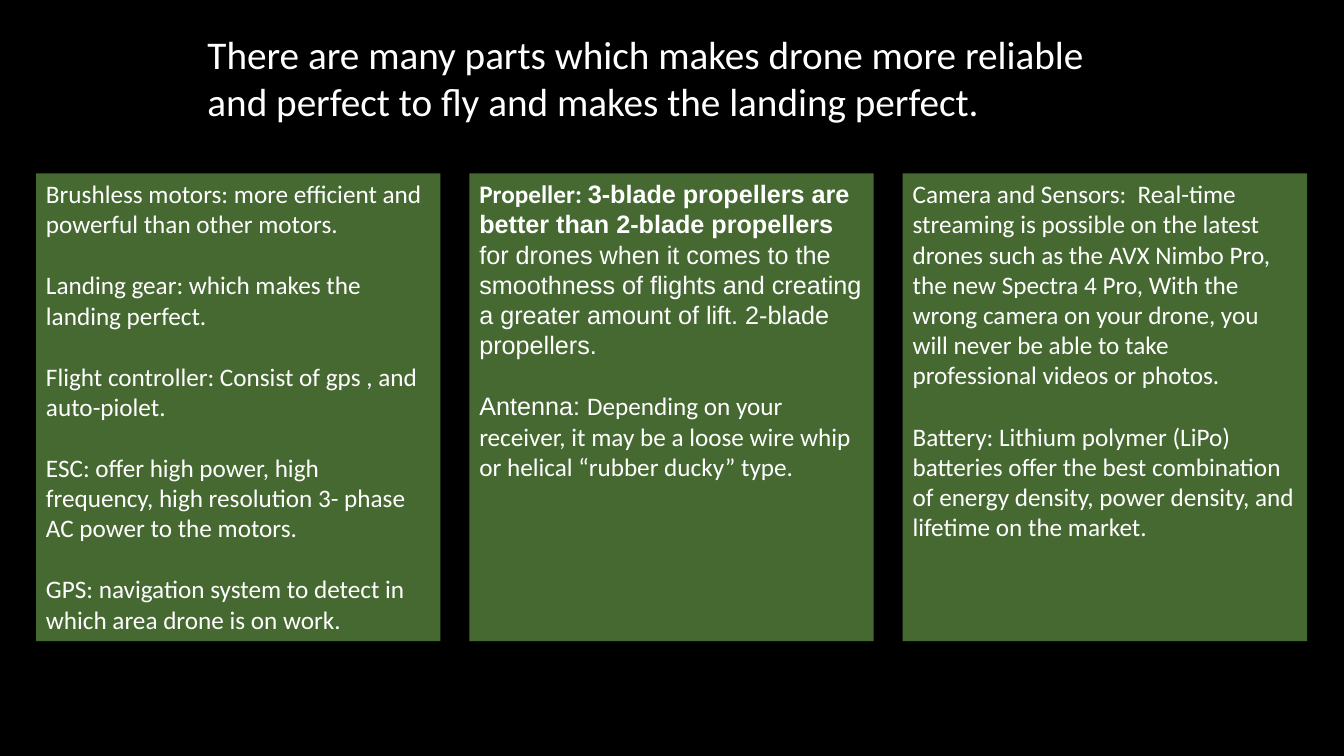
from pptx import Presentation
from pptx.dml.color import RGBColor
from pptx.enum.shapes import MSO_SHAPE
from pptx.enum.text import MSO_ANCHOR, PP_ALIGN
from pptx.util import Cm, Pt

COLORS = {"background": "000000", "panel": "466932", "text": "FFFFFF"}

TITLE = ("There are many parts which makes drone more reliable "
         "and perfect to fly and makes the landing perfect.")

COLUMNS = [
    [
        [("Brushless motors: more efficient and powerful than other motors.", "Calibri", False)],
        [("Landing gear: which makes the landing perfect.", "Calibri", False)],
        [("Flight controller: Consist of gps , and auto-piolet.", "Calibri", False)],
        [("ESC: offer high power, high frequency, high resolution 3- phase "
          "AC power to the motors.", "Calibri", False)],
        [("GPS: navigation system to detect in which area drone is on work.", "Calibri", False)],
    ],
    [
        [("Propeller: ", "Calibri", True),
         ("3-blade propellers are better than 2-blade propellers", "Arial", True),
         (" for drones when it comes to the smoothness of flights and creating "
          "a greater amount of lift. 2-blade propellers.", "Arial", False)],
        [("Antenna: ", "Arial", False),
         ("Depending on your receiver, it may be a loose wire whip "
          "or helical “rubber ducky” type.", "Calibri", False)],
    ],
    [
        [("Camera and Sensors:  Real-time streaming is possible on the latest drones "
          "such as the AVX Nimbo Pro, the new Spectra 4 Pro, With the wrong camera on "
          "your drone, you will never be able to take professional videos or photos.",
          "Calibri", False)],
        [("Battery: Lithium polymer (LiPo) batteries offer the best combination of "
          "energy density, power density, and lifetime on the market.", "Calibri", False)],
    ],
]


class PartsSlide:
    def __init__(self, deck, colors):
        self.colors = {name: RGBColor.from_string(value) for name, value in colors.items()}
        self.page = deck.slides.add_slide(deck.slide_layouts[6])
        self.page.background.fill.solid()
        self.page.background.fill.fore_color.rgb = self.colors["background"]

    def fill_text(self, frame, paragraphs, size, gap=0):
        frame.word_wrap = True
        frame.vertical_anchor = MSO_ANCHOR.TOP
        for index, spans in enumerate(paragraphs):
            para = frame.add_paragraph() if index else frame.paragraphs[0]
            para.alignment = PP_ALIGN.LEFT
            para.space_before = Pt(gap if index else 0)
            for text, font, bold in spans:
                span = para.add_run()
                span.text = text
                span.font.name = font
                span.font.size = Pt(size)
                span.font.bold = bold
                span.font.color.rgb = self.colors["text"]

    def title(self, text, left, top, width, height):
        box = self.page.shapes.add_textbox(Cm(left), Cm(top), Cm(width), Cm(height))
        self.fill_text(box.text_frame, [[(text, "Calibri", False)]], 28)

    def panel(self, paragraphs, left, top, width, height):
        box = self.page.shapes.add_shape(
            MSO_SHAPE.RECTANGLE, Cm(left), Cm(top), Cm(width), Cm(height))
        box.shadow.inherit = False
        box.fill.solid()
        box.fill.fore_color.rgb = self.colors["panel"]
        box.line.fill.background()
        self.fill_text(box.text_frame, paragraphs, 18, gap=22)


def main():
    deck = Presentation()
    deck.slide_width, deck.slide_height = Cm(33.87), Cm(19.05)
    slide = PartsSlide(deck, COLORS)
    slide.title(TITLE, 4.98, 0.64, 22.86, 2.64)
    for index, paragraphs in enumerate(COLUMNS):
        slide.panel(paragraphs, 0.91 + index * 10.92, 4.37, 10.19, 11.79)
    deck.save("out.pptx")


if __name__ == "__main__":
    main()
